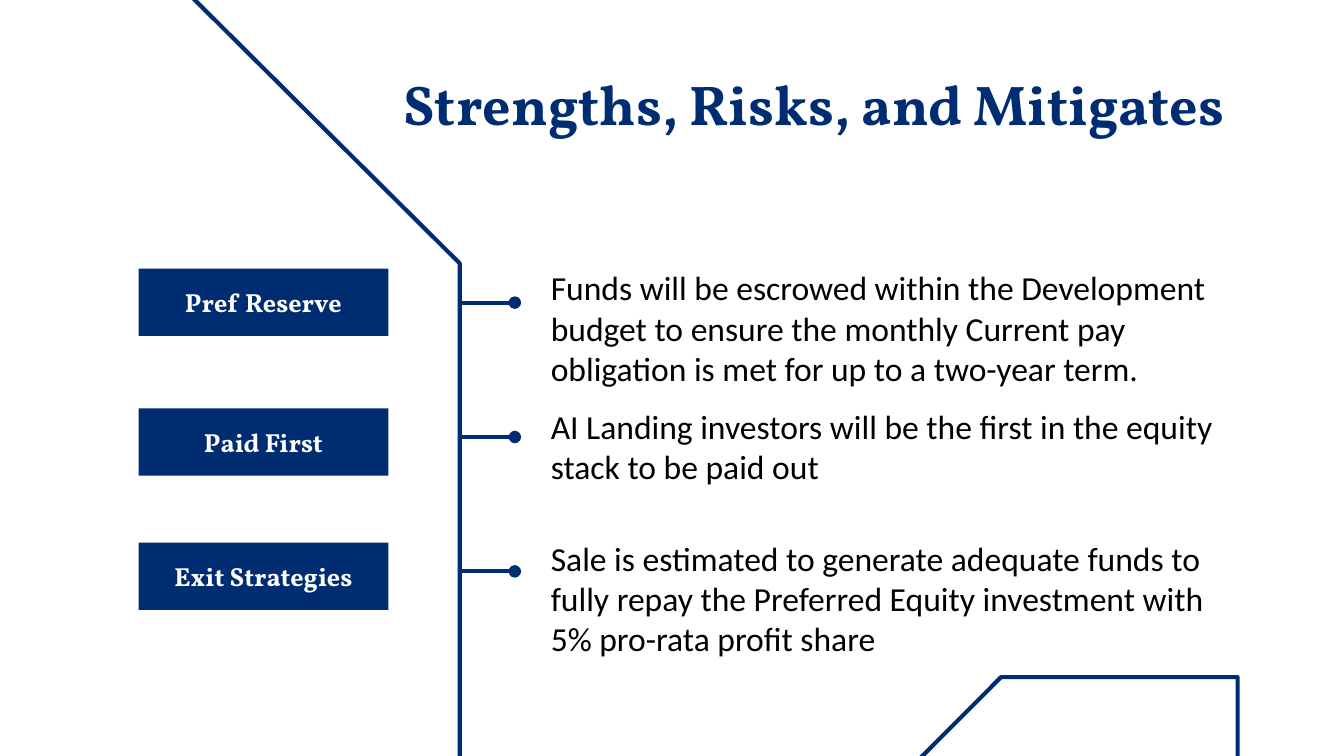
from lxml.etree import SubElement
from pptx import Presentation
from pptx.dml.color import RGBColor
from pptx.enum.shapes import MSO_CONNECTOR as Link, MSO_SHAPE as Preset
from pptx.enum.text import MSO_ANCHOR as Anchor, MSO_AUTO_SIZE as Fit, PP_ALIGN as Align
from pptx.oxml.ns import qn
from pptx.util import Cm, Pt

COLORS = {"navy": "002D72", "white": "FFFFFF", "black": "000000"}

HEADING = {"name": "Vollkorn", "size": Pt(30), "bold": True}
LABEL = {"name": "Vollkorn", "size": Pt(14), "bold": True}
DETAIL = {"name": "Calibri", "size": Pt(18), "bold": False}

CORNER = [(17.88, 20.14), (23.39, 14.63), (23.39, 12.8),
          (18.92, 12.8), (13.11, 18.62), (12.42, 20.14)]
SPINE_X, DOT_X = 8.69, 9.73
SPINE = [(3.25, -0.43), (SPINE_X, 4.98), (SPINE_X, 14.73)]
FIRST_LINK_Y, LINK_STEP = 5.72, 2.54

POINTS = [
    ("Pref Reserve", 5.08, 4.8, 13.89,
     "Funds will be escrowed within the Development budget to ensure the monthly "
     "Current pay obligation is met for up to a two-year term."),
    ("Paid First", 7.72, 7.42, 13.56,
     "AI Landing investors will be the first in the equity stack to be paid out"),
    ("Exit Strategies", 10.26, 9.91, 13.56,
     "Sale is estimated to generate adequate funds to fully repay the Preferred "
     "Equity investment with 5% pro-rata profit share"),
]


class SlideBuilder:
    def __init__(self, slide):
        self.slide = slide
        self.shapes = slide.shapes
        self.line_width = Pt(2.25)
        self.inset = Cm(0.25)

    def color(self, key):
        return RGBColor.from_string(COLORS[key])

    def stroke(self, line):
        line.color.rgb = self.color("navy")
        line.width = self.line_width

    def set_text(self, frame, words, style, color, align, anchor):
        layout = {"word_wrap": True, "auto_size": Fit.NONE, "vertical_anchor": anchor}
        layout.update({f"margin_{side}": self.inset
                       for side in ("left", "top", "right", "bottom")})
        for key, value in layout.items():
            setattr(frame, key, value)
        paragraph = frame.paragraphs[0]
        paragraph.alignment = align
        run = paragraph.add_run()
        run.text = words
        for key, value in style.items():
            setattr(run.font, key, value)
        run.font.color.rgb = self.color(color)

    def title(self, words, left, top, width, height):
        heading = self.shapes.title
        place = {"left": left, "top": top, "width": width, "height": height}
        for key, value in place.items():
            setattr(heading, key, Cm(value))
        self.set_text(heading.text_frame, words, HEADING, "navy", Align.RIGHT, Anchor.TOP)

    def label(self, words, left, top, width, height):
        box = self.shapes.add_shape(
            Preset.RECTANGLE, Cm(left), Cm(top), Cm(width), Cm(height))
        box.shadow.inherit = False
        box.fill.solid()
        box.fill.fore_color.rgb = self.color("navy")
        box.line.fill.background()
        self.set_text(box.text_frame, words, LABEL, "white", Align.CENTER, Anchor.MIDDLE)

    def detail(self, words, left, top, width, height):
        box = self.shapes.add_textbox(Cm(left), Cm(top), Cm(width), Cm(height))
        self.set_text(box.text_frame, words, DETAIL, "black", Align.LEFT, Anchor.TOP)

    def outline(self, points, close):
        start, *rest = [(Cm(x), Cm(y)) for x, y in points]
        builder = self.shapes.build_freeform(*start)
        builder.add_line_segments(rest, close=close)
        contour = builder.convert_to_shape()
        contour.shadow.inherit = False
        contour.fill.background()
        self.stroke(contour.line)

    def dotted_link(self, start_x, end_x, y):
        link = self.shapes.add_connector(
            Link.STRAIGHT, Cm(start_x), Cm(y), Cm(end_x), Cm(y))
        self.stroke(link.line)
        properties = link._element.spPr
        SubElement(properties.find(qn("a:ln")), qn("a:headEnd"), type="oval")
        SubElement(properties, qn("a:effectLst"))


def main():
    deck = Presentation()
    deck.slide_width, deck.slide_height = Cm(25.4), Cm(14.29)
    builder = SlideBuilder(deck.slides.add_slide(deck.slide_layouts[5]))
    builder.title("Strengths, Risks, and Mitigates", 3.91, 1.07, 19.48, 2.31)
    builder.outline(CORNER, close=True)
    builder.outline(SPINE, close=False)
    for index, (name, label_top, detail_top, detail_width, detail) in enumerate(POINTS):
        builder.dotted_link(DOT_X, SPINE_X, FIRST_LINK_Y + index * LINK_STEP)
        builder.label(name, 2.62, label_top, 4.72, 1.27)
        builder.detail(detail, 10.16, detail_top, detail_width, 2.01)
    deck.save("out.pptx")


if __name__ == "__main__":
    main()
